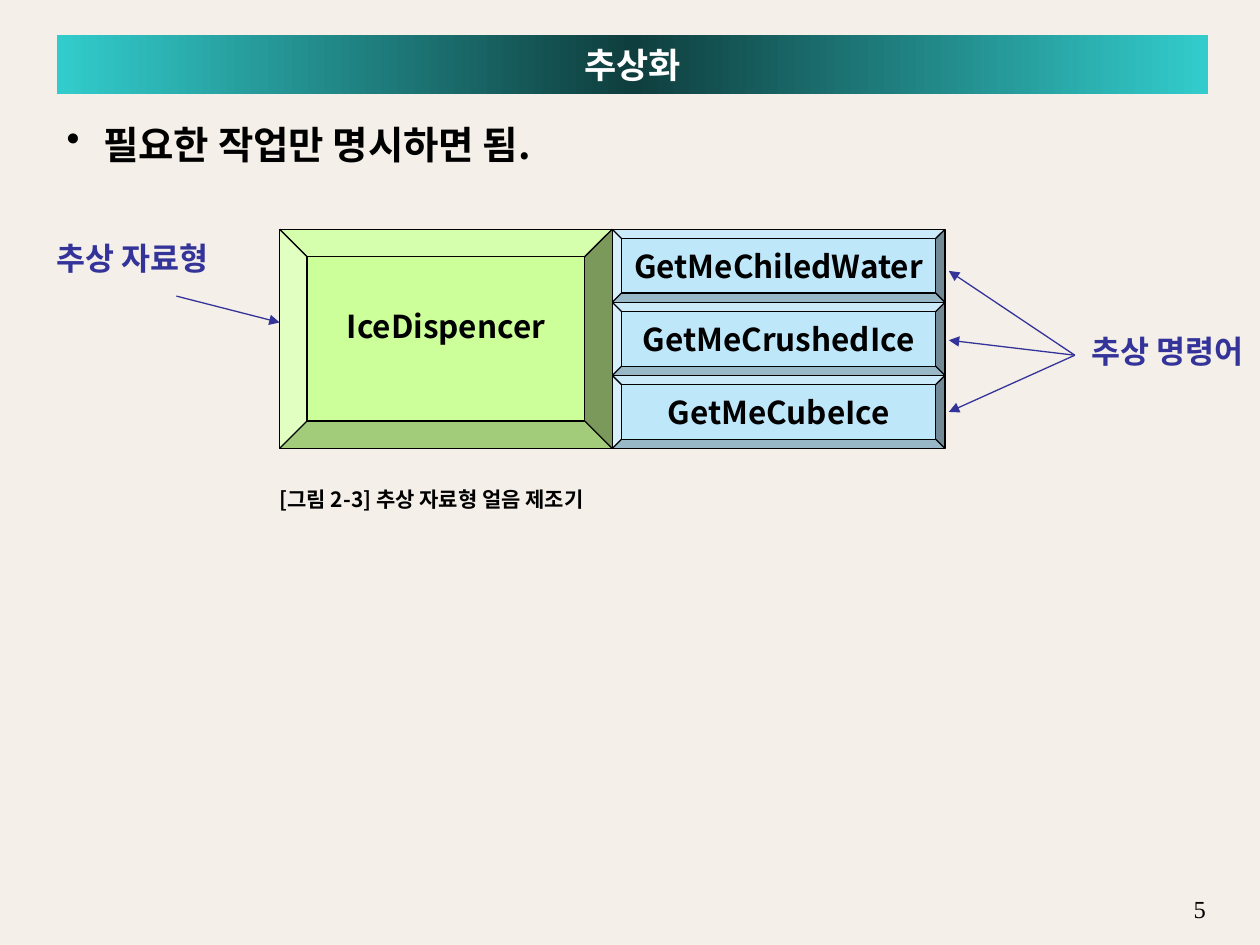
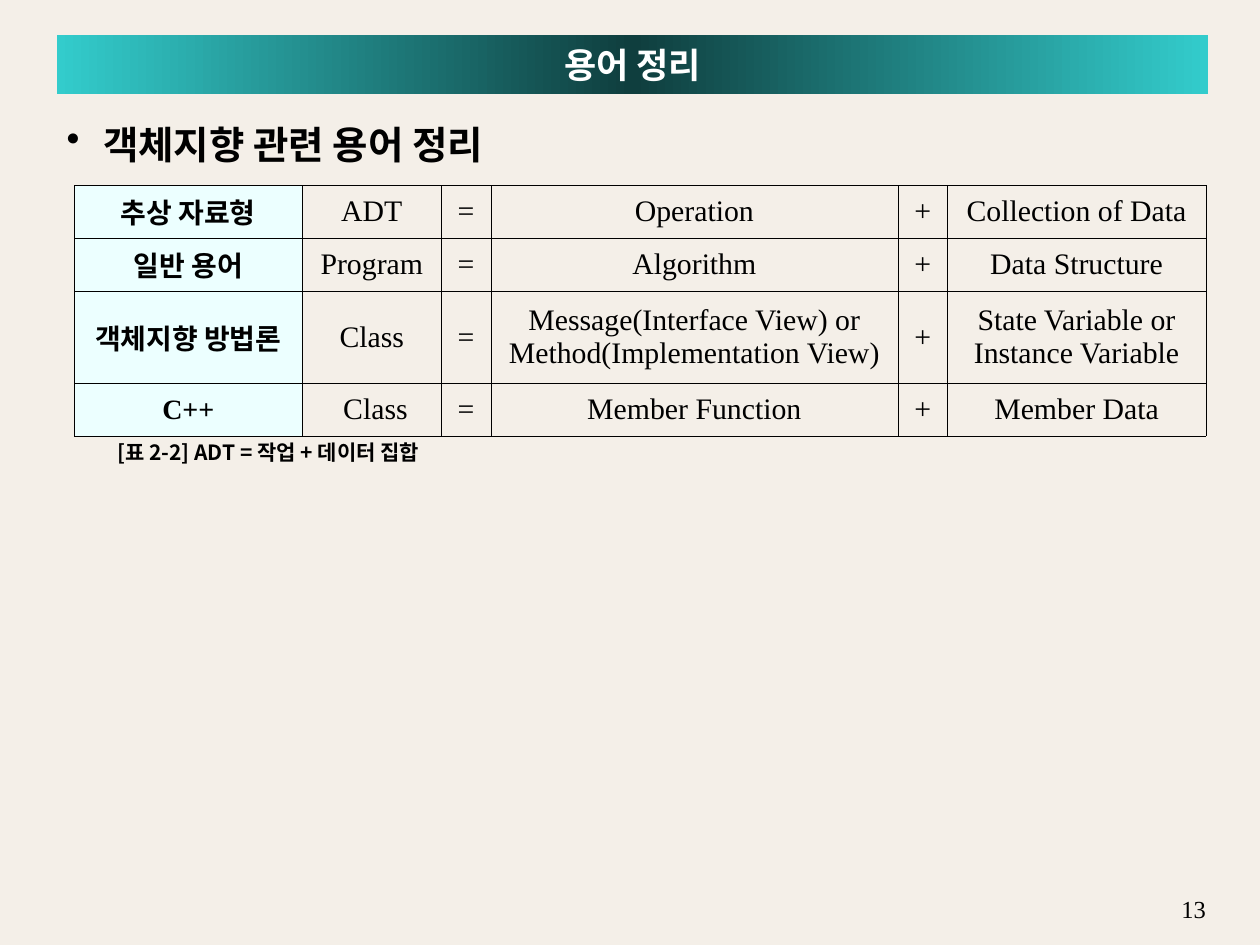
from copy import deepcopy
from typing import NamedTuple

from lxml.etree import SubElement
from pptx import Presentation
from pptx.dml.color import RGBColor
from pptx.enum.shapes import MSO_CONNECTOR, MSO_SHAPE
from pptx.enum.text import MSO_ANCHOR, PP_ALIGN
from pptx.oxml.ns import qn
from pptx.util import Pt

SANS = "Noto Sans CJK KR"
SERIF = "Times New Roman"

BACKGROUND = RGBColor(0xF4, 0xEF, 0xE8)
BLACK = RGBColor(0x00, 0x00, 0x00)
WHITE = RGBColor(0xFF, 0xFF, 0xFF)
TEAL = RGBColor(0x33, 0xCC, 0xCC)
DARK_TEAL = RGBColor(0x0F, 0x3E, 0x3E)
INDIGO = RGBColor(0x33, 0x33, 0x99)
SKY = RGBColor(0xBE, 0xE7, 0xFA)
LIME = RGBColor(0xCC, 0xFF, 0x99)
PALE_CYAN = RGBColor(0xEC, 0xFF, 0xFF)


class Area(NamedTuple):
    left: float
    top: float
    width: float
    height: float

    def lengths(self) -> tuple:
        return tuple(Pt(value) for value in self)


class Bevel(NamedTuple):
    label: str
    area: Area
    fill: RGBColor
    bottom_inset: float = 3.6


class Label(NamedTuple):
    text: str
    area: Area


class Arrow(NamedTuple):
    start: tuple[float, float]
    end: tuple[float, float]


TITLE_BAND = Area(32.4, 20.2, 658.1, 33.8)
BODY = Area(31, 65.5, 663.1, 442.1)
PAGE_NUMBER = Area(666, 507.5, 30.2, 24)

TYPE_BOX = Area(159.8, 131, 190.1, 125.3)
OPERATIONS = ["GetMeChiledWater", "GetMeCrushedIce", "GetMeCubeIce"]
OPERATION_HEIGHT = TYPE_BOX.height / len(OPERATIONS)
BEVELS = [
    Bevel(name, Area(TYPE_BOX.left + TYPE_BOX.width,
                     TYPE_BOX.top + index * OPERATION_HEIGHT,
                     TYPE_BOX.width, OPERATION_HEIGHT), SKY)
    for index, name in enumerate(OPERATIONS)
] + [Bevel("IceDispencer", TYPE_BOX, LIME, bottom_inset=18)]

LABELS = [
    Label("추상 자료형", Area(1.4, 131, 148.4, 32.4)),
    Label("추상 명령어", Area(614.2, 184.3, 105.8, 32.4)),
]
COMMAND_POINT = (614.2, 203)
ARROWS = [Arrow((100.8, 169.2), (159.8, 184.3))] + [
    Arrow(COMMAND_POINT, (542.2, top)) for top in (154.8, 235.4, 194.4)
]

TERMS_AREA = Area(42.5, 105.8, 646.6, 143.5)
COLUMN_WIDTHS = [130.3, 79.4, 28.3, 232.7, 28.3, 147.6]
ROW_HEIGHTS = [30.3, 30.3, 52.6, 30.3]
TERMS = [
    ["추상 자료형", "ADT", "Operation", "Collection of Data"],
    ["일반 용어", "Program", "Algorithm", "Data Structure"],
    ["객체지향 방법론", "Class",
     "Message(Interface View) or\nMethod(Implementation View)",
     "State Variable or\nInstance Variable"],
    ["C++", " Class", "Member Function", "Member Data"],
]


def write_text(frame, text: str, *, size: float, font: str = SANS,
               color: RGBColor = BLACK, bold: bool = True,
               align: PP_ALIGN = PP_ALIGN.LEFT, bullet: bool = False) -> None:
    """Write each line of the text as a formatted paragraph."""
    for index, line in enumerate(text.split("\n")):
        para = frame.add_paragraph() if index else frame.paragraphs[0]
        para.alignment = align
        if bullet:
            add_bullet(para)
        span = para.add_run()
        span.text = line
        span.font.size = Pt(size)
        span.font.bold = bold
        span.font.name = font
        span.font.color.rgb = color
        SubElement(span.font._element, qn("a:ea"), typeface=SANS)


def add_bullet(para) -> None:
    """Give the paragraph a round bullet with a hanging indent."""
    properties = para._p.get_or_add_pPr()
    properties.set("marL", str(Pt(20.9)))
    properties.set("indent", str(-Pt(20.9)))
    color = SubElement(properties, qn("a:buClr"))
    SubElement(color, qn("a:srgbClr"), val=str(BLACK))
    SubElement(properties, qn("a:buChar"), char="•")


def add_text(page, text: str, area: Area, *, left_inset: float = 7.2,
             anchor: MSO_ANCHOR = MSO_ANCHOR.TOP, wrap: bool = True,
             **text_format) -> None:
    """Add a text box."""
    frame = page.shapes.add_textbox(*area.lengths()).text_frame
    frame.word_wrap = wrap
    frame.margin_left = Pt(left_inset)
    frame.vertical_anchor = anchor
    write_text(frame, text, **text_format)


def format_title(page, text: str) -> None:
    """Place the title on its gradient band."""
    title = page.shapes.title
    title.left, title.top, title.width, title.height = TITLE_BAND.lengths()
    title.fill.gradient()
    title.fill.gradient_angle = 0
    stop_list = title._element.spPr.find(".//" + qn("a:gsLst"))
    stop_list.insert(1, deepcopy(stop_list[0]))
    stops = zip(title.fill.gradient_stops, (0, 0.5, 1), (TEAL, DARK_TEAL, TEAL))
    for stop, position, color in stops:
        stop.position = position
        stop.color.rgb = color
    title.text_frame.vertical_anchor = MSO_ANCHOR.MIDDLE
    write_text(title.text_frame, text, size=20, color=WHITE, align=PP_ALIGN.CENTER)


def add_page(deck, title: str, point: str, number: int):
    """Add a slide with the shared title band, bullet and page number."""
    page = deck.slides.add_slide(deck.slide_layouts[5])
    format_title(page, title)
    add_text(page, str(number), PAGE_NUMBER, size=14, font=SERIF, bold=False,
             align=PP_ALIGN.RIGHT)
    add_text(page, point, BODY, size=22, bullet=True)
    return page


def add_caption(page, text: str, area: Area) -> None:
    """Add a figure or table caption."""
    add_text(page, text, area, left_inset=0, size=12)


def add_bevel(page, bevel: Bevel) -> None:
    """Draw a bevelled block with its name."""
    box = page.shapes.add_shape(MSO_SHAPE.BEVEL, *bevel.area.lengths())
    box.shadow.inherit = False
    box.fill.solid()
    box.fill.fore_color.rgb = bevel.fill
    box.line.color.rgb = BLACK
    box.line.width = Pt(0.75)
    frame = box.text_frame
    frame.word_wrap = False
    frame.vertical_anchor = MSO_ANCHOR.MIDDLE
    frame.margin_bottom = Pt(bevel.bottom_inset)
    write_text(frame, bevel.label, size=18, align=PP_ALIGN.CENTER)


def add_arrow(page, arrow: Arrow) -> None:
    """Draw a thin line with a triangle head at its end."""
    ends = [Pt(value) for value in arrow.start + arrow.end]
    line = page.shapes.add_connector(MSO_CONNECTOR.STRAIGHT, *ends)
    line.line.color.rgb = INDIGO
    line.line.width = Pt(0.75)
    SubElement(line.line._get_or_add_ln(), qn("a:tailEnd"), type="triangle")
    SubElement(line._element.spPr, qn("a:effectLst"))


def add_borders(cell) -> None:
    """Draw hairlines on all four sides of a cell."""
    properties = cell._tc.get_or_add_tcPr()
    for side in ("lnL", "lnR", "lnT", "lnB"):
        border = SubElement(properties, qn(f"a:{side}"), w=str(Pt(0.06)))
        fill = SubElement(border, qn("a:solidFill"))
        SubElement(fill, qn("a:srgbClr"), val=str(BLACK))


def add_terms(page) -> None:
    """Build the table that equates the terms."""
    table = page.shapes.add_table(
        len(ROW_HEIGHTS), len(COLUMN_WIDTHS), *TERMS_AREA.lengths()).table
    table.first_row = False
    table.horz_banding = False
    for column, width in zip(table.columns, COLUMN_WIDTHS):
        column.width = Pt(width)
    for row, height, (group, whole, operation, data) in zip(
            table.rows, ROW_HEIGHTS, TERMS):
        row.height = Pt(height)
        texts = [group, whole, "=", operation, "+", data]
        for index, (cell, text) in enumerate(zip(row.cells, texts)):
            heading = index == 0
            add_borders(cell)
            if heading:
                cell.fill.solid()
                cell.fill.fore_color.rgb = PALE_CYAN
            else:
                cell.fill.background()
            cell.vertical_anchor = MSO_ANCHOR.MIDDLE
            write_text(cell.text_frame, text, size=16 if heading else 17,
                       font=SERIF, bold=heading, align=PP_ALIGN.CENTER)


def build_abstraction(deck) -> None:
    """Build the slide on abstraction."""
    page = add_page(deck, "추상화", "필요한 작업만 명시하면 됨.", 5)
    for bevel in BEVELS:
        add_bevel(page, bevel)
    for label in LABELS:
        add_text(page, label.text, label.area, anchor=MSO_ANCHOR.MIDDLE,
                 wrap=False, size=18, color=INDIGO, align=PP_ALIGN.CENTER)
    for arrow in ARROWS:
        add_arrow(page, arrow)
    add_caption(page, "[그림 2-3] 추상 자료형 얼음 제조기",
                Area(159.8, 274.3, 209.5, 21.6))


def build_terms(deck) -> None:
    """Build the slide on terminology."""
    page = add_page(deck, "용어 정리", "객체지향 관련 용어 정리", 13)
    add_terms(page)
    add_caption(page, "[표 2-2] ADT = 작업 + 데이터 집합",
                Area(67, 247.7, 254.9, 21.6))


def main() -> None:
    """Build and save the deck."""
    deck = Presentation()
    deck.slide_width, deck.slide_height = Pt(720), Pt(540)
    background = deck.slide_master.background.fill
    background.solid()
    background.fore_color.rgb = BACKGROUND
    build_abstraction(deck)
    build_terms(deck)
    deck.save("out.pptx")


if __name__ == "__main__":
    main()
